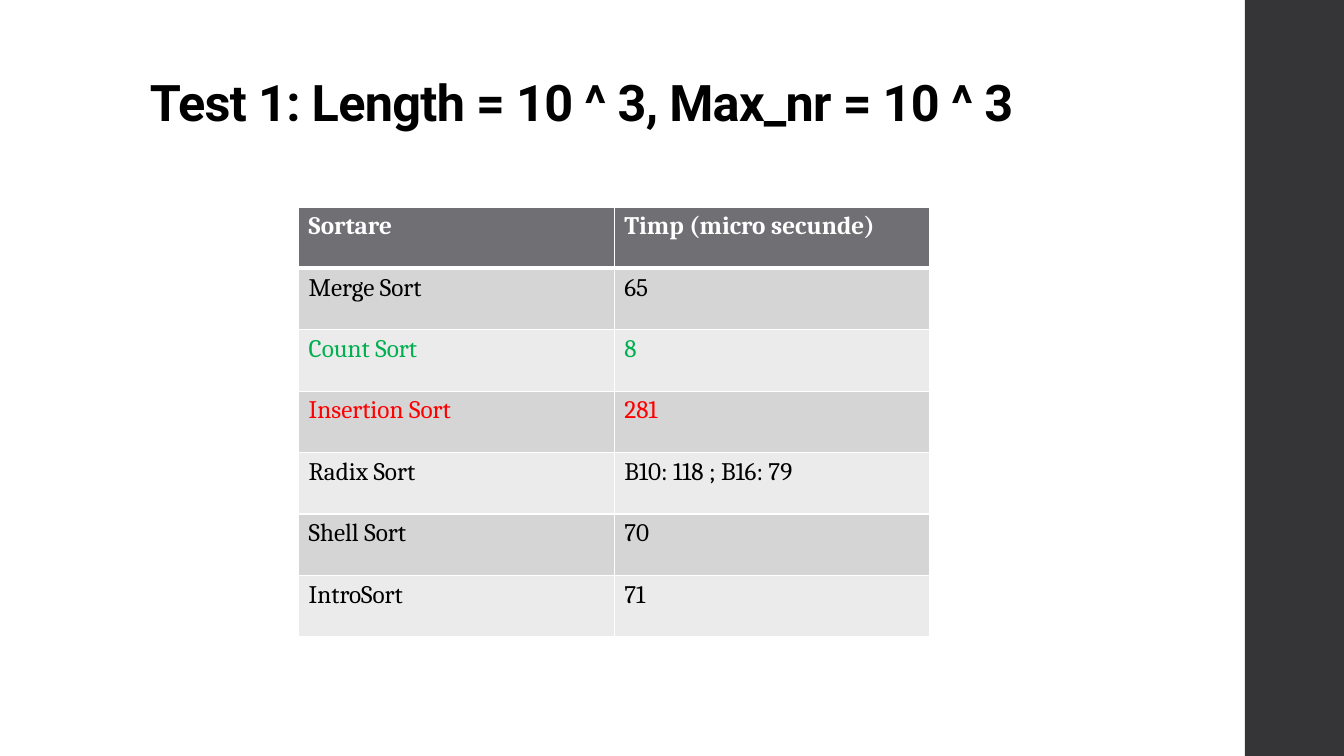
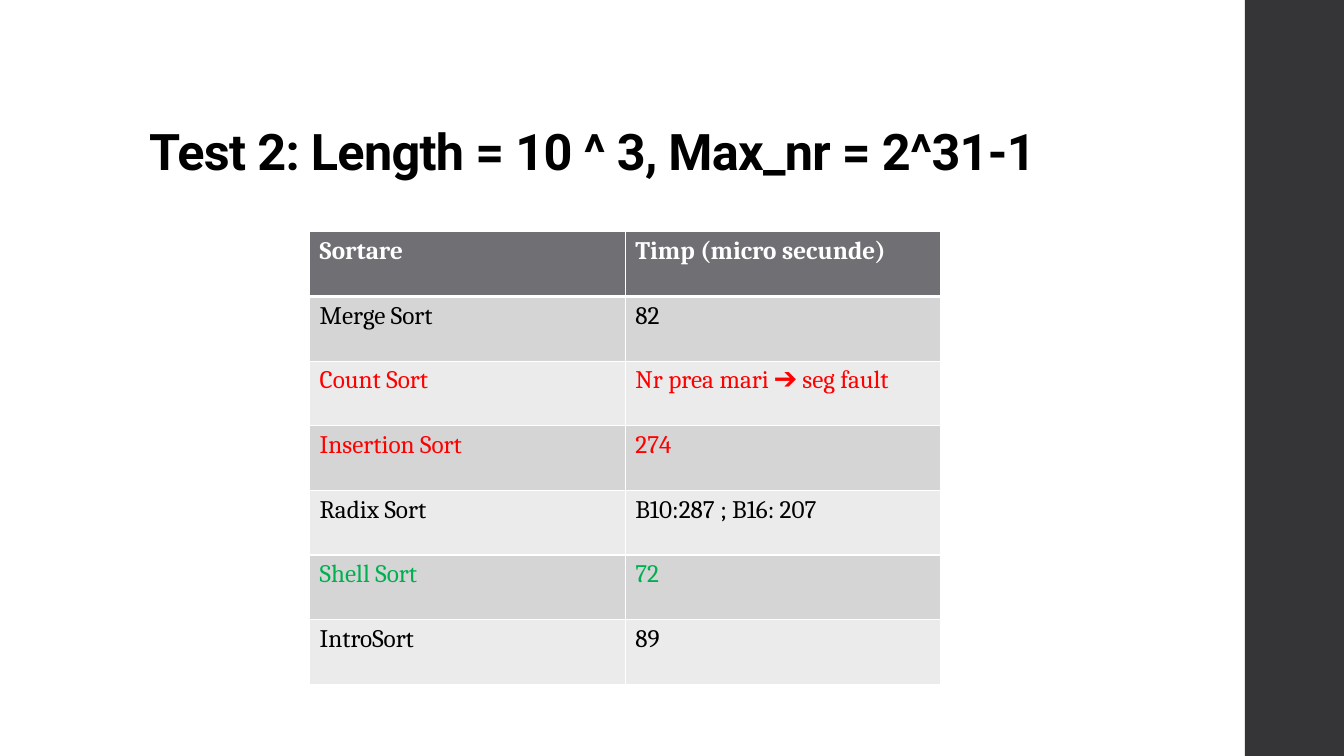
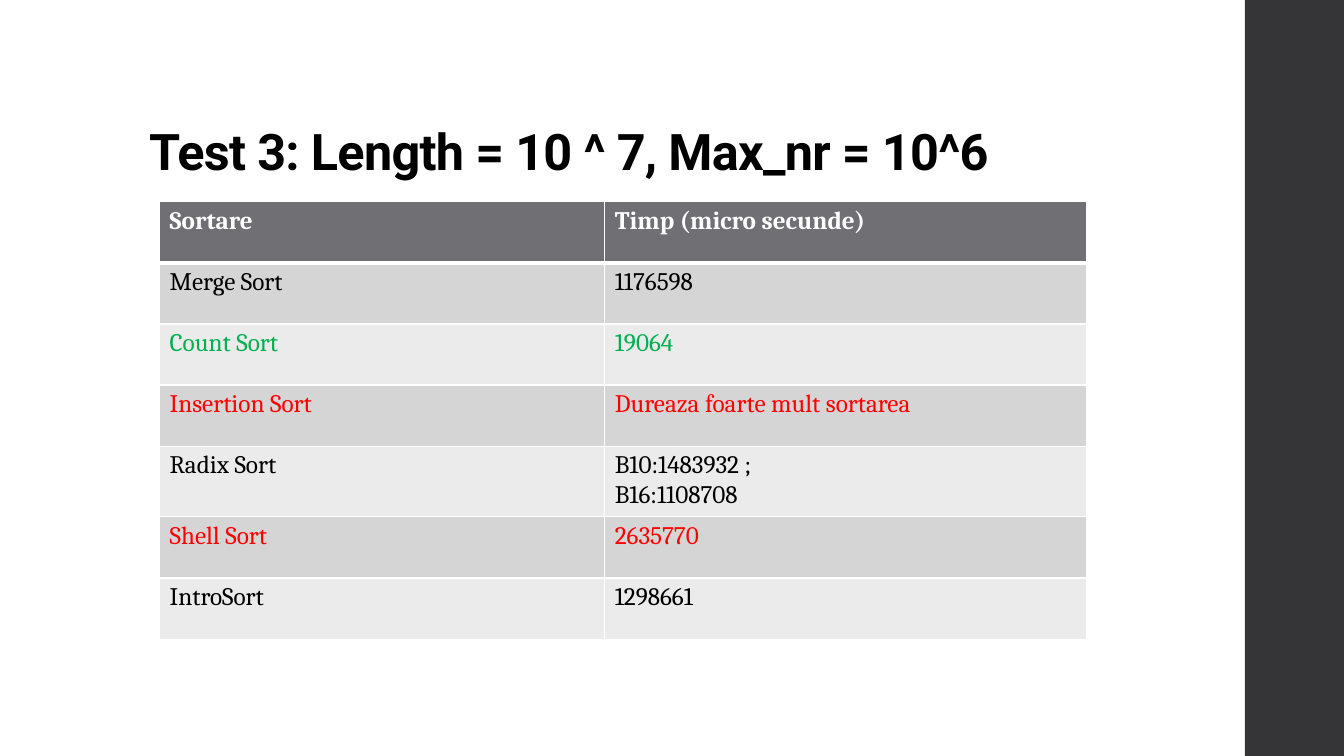
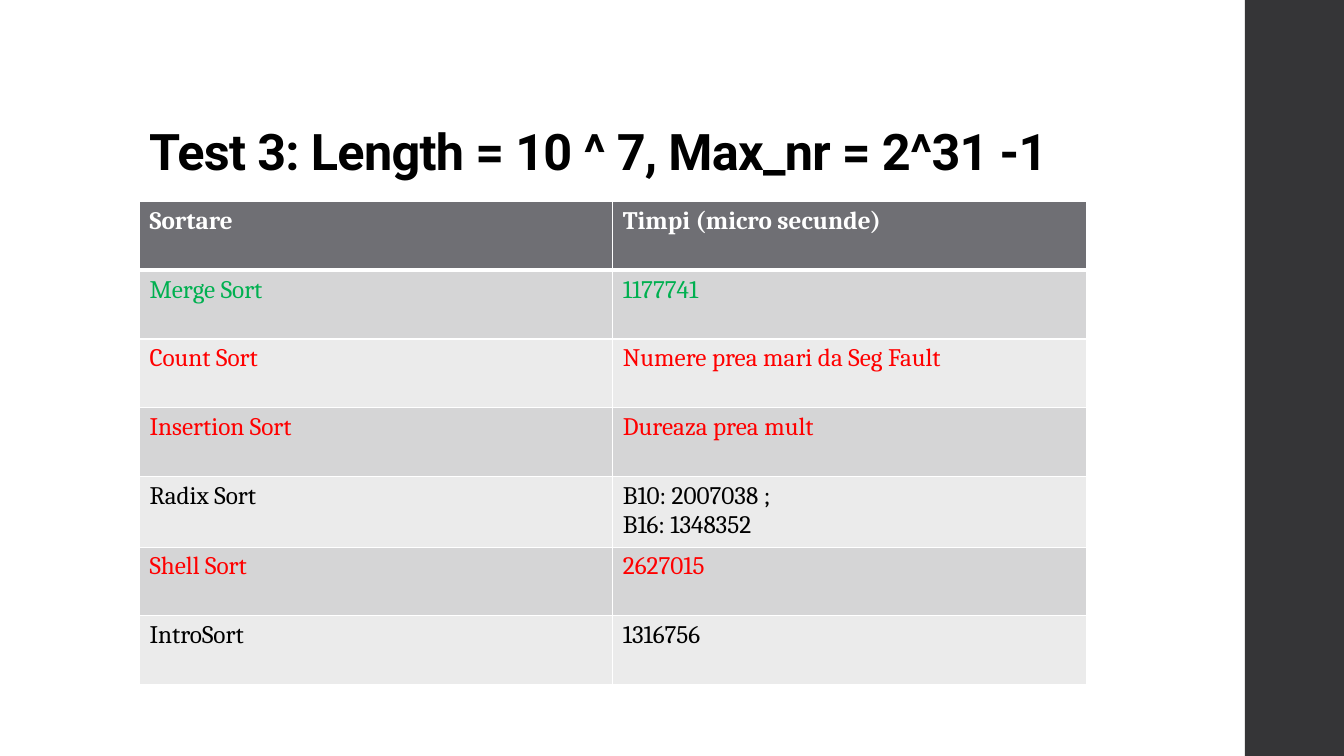
import dataclasses

import pptx
import pptx.dml.color
import pptx.enum.shapes
import pptx.enum.text
import pptx.oxml.ns
import pptx.util
from lxml import etree

Pt = pptx.util.Pt


@dataclasses.dataclass(frozen=True)
class Theme:
    background: str = "FFFFFF"
    band: str = "353537"
    header: str = "6F6F74"
    header_text: str = "FFFFFF"
    stripes: tuple = ("D5D5D6", "EBEBEB")
    border: str = "FFFFFF"
    text: str = "000000"
    best: str = "00B050"
    worst: str = "FF0000"
    title_font: str = "Roboto"
    body_font: str = "Cambria"
    title_size: int = 36
    body_size: int = 18


THEME = Theme()
SLIDE_W, SLIDE_H = 960, 540
BAND_BOX = (889.2, 0, 72, SLIDE_H)
SORTS = ("Merge Sort", "Count Sort", "Insertion Sort", "Radix Sort", "Shell Sort", "IntroSort")

# Boxes are left, top, width, height; best and worst name the coloured rows
TESTS = [
    dict(title="Test 1: Length = 10 ^ 3, Max_nr = 10 ^ 3",
         title_box=(100, 49, 679, 49), table_at=(213.3, 147.8),
         cols=(225.5, 225.5), row_h=43.9, time_label="Timp (micro secunde)",
         times=("65", "8", "281", "B10: 118 ; B16: 79", "70", "71"),
         best=("Count Sort",), worst=("Insertion Sort",)),
    dict(title="Test 2: Length = 10 ^ 3, Max_nr = 2^31-1",
         title_box=(99.4, 80.6, 683.3, 52.6), table_at=(221.2, 165.6),
         cols=(225.5, 225.5), row_h=46.2, time_label="Timp (micro secunde)",
         times=("82", "Nr prea mari ➔ seg fault", "274", "B10:287 ; B16: 207", "72", "89"),
         best=("Shell Sort",), worst=("Count Sort", "Insertion Sort")),
    dict(title="Test 3: Length = 10 ^ 7, Max_nr = 10^6",
         title_box=(99.4, 82.2, 684, 51), table_at=(114, 144),
         cols=(318, 344), row_h=43.7, time_label="Timp (micro secunde)",
         times=("1176598", "19064", "Dureaza foarte mult sortarea",
                "B10:1483932 ;\nB16:1108708", "2635770", "1298661"),
         best=("Count Sort",), worst=("Insertion Sort", "Shell Sort")),
    dict(title="Test 3: Length = 10 ^ 7, Max_nr = 2^31 -1",
         title_box=(99.4, 76.2, 693.4, 57), table_at=(99.6, 144),
         cols=(338.2, 338.2), row_h=49.1, time_label="Timpi (micro secunde)",
         times=("1177741", "Numere prea mari da Seg Fault", "Dureaza prea mult",
                "B10: 2007038 ;\nB16: 1348352", "2627015", "1316756"),
         best=("Merge Sort",), worst=("Count Sort", "Insertion Sort", "Shell Sort")),
]


def rgb(color):
    return pptx.dml.color.RGBColor.from_string(color)


def write(tf, text, *, font, size, color, bold=False, line_spacing=None, tracking=None):
    """Fill a text frame, one paragraph for each line of text."""
    for i, line in enumerate(text.split("\n")):
        p = tf.add_paragraph() if i else tf.paragraphs[0]
        if line_spacing:
            p.line_spacing = line_spacing
        r = p.add_run()
        r.text = line
        r.font.name, r.font.size, r.font.bold = font, Pt(size), bold
        r.font.color.rgb = rgb(color)
        if tracking:
            r._r.get_or_add_rPr().set("spc", str(round(tracking * 100)))


def set_borders(cell, color, **widths):
    """Draw the cell's L, R, T and B borders, widths in points."""
    tcPr = cell._tc.get_or_add_tcPr()
    for side, width in widths.items():
        ln = etree.SubElement(tcPr, pptx.oxml.ns.qn(f"a:ln{side}"), w=str(Pt(width)))
        fill = etree.SubElement(ln, pptx.oxml.ns.qn("a:solidFill"))
        etree.SubElement(fill, pptx.oxml.ns.qn("a:srgbClr"), val=color)


def add_band(s, box):
    sp = s.shapes.add_shape(pptx.enum.shapes.MSO_SHAPE.RECTANGLE, *map(Pt, box))
    sp.shadow.inherit = False
    sp.fill.solid()
    sp.fill.fore_color.rgb = rgb(THEME.band)
    sp.line.fill.background()


def add_title(s, box, text):
    tf = s.shapes.add_textbox(*map(Pt, box)).text_frame
    tf.word_wrap = True
    tf.vertical_anchor = pptx.enum.text.MSO_ANCHOR.BOTTOM
    write(tf, text, font=THEME.title_font, size=THEME.title_size, color=THEME.text,
          bold=True, line_spacing=0.9, tracking=-0.5)


def add_times_table(s, at, cols, row_h, rows, colors):
    """Place a header row and striped rows; colors holds one text colour per row."""
    box = (*at, sum(cols), row_h * len(rows))
    table = s.shapes.add_table(len(rows), len(cols), *map(Pt, box)).table
    for column, width in zip(table.columns, cols):
        column.width = Pt(width)
    for i, (values, color) in enumerate(zip(rows, colors)):
        table.rows[i].height = Pt(row_h)
        for j, value in enumerate(values):
            cell = table.cell(i, j)
            # A thick rule parts the header from the first result
            set_borders(cell, THEME.border, L=1, R=1, T=3 if i == 1 else 1, B=3 if i == 0 else 1)
            cell.fill.solid()
            cell.fill.fore_color.rgb = rgb(THEME.stripes[(i - 1) % 2] if i else THEME.header)
            write(cell.text_frame, value, font=THEME.body_font, size=THEME.body_size,
                  color=color, bold=i == 0)


def add_test_slide(prs, test):
    s = prs.slides.add_slide(prs.slide_layouts[6])
    s.background.fill.solid()
    s.background.fill.fore_color.rgb = rgb(THEME.background)
    add_band(s, BAND_BOX)
    add_title(s, test["title_box"], test["title"])
    rows = [("Sortare", test["time_label"]), *zip(SORTS, test["times"])]
    marks = {**dict.fromkeys(test["best"], THEME.best), **dict.fromkeys(test["worst"], THEME.worst)}
    colors = [THEME.header_text, *(marks.get(name, THEME.text) for name in SORTS)]
    add_times_table(s, test["table_at"], test["cols"], test["row_h"], rows, colors)


def main():
    prs = pptx.Presentation()
    prs.slide_width, prs.slide_height = Pt(SLIDE_W), Pt(SLIDE_H)
    for test in TESTS:
        add_test_slide(prs, test)
    prs.save("out.pptx")


if __name__ == "__main__":
    main()
